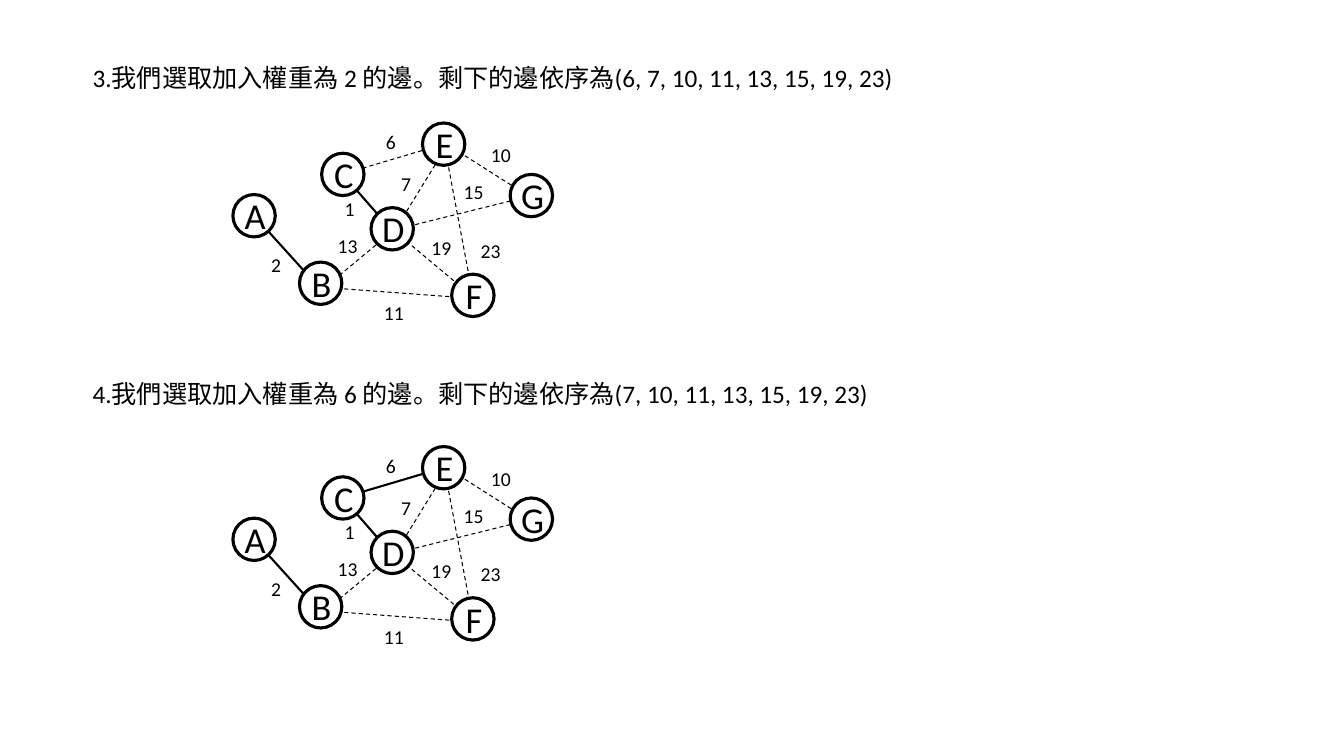
from lxml.etree import SubElement
from pptx import Presentation
from pptx.dml.color import RGBColor
from pptx.enum.dml import MSO_LINE
from pptx.enum.shapes import MSO_CONNECTOR as CONNECTOR, MSO_SHAPE as SHAPE
from pptx.enum.text import MSO_AUTO_SIZE as AUTO_SIZE, PP_ALIGN as ALIGN
from pptx.oxml.ns import qn
from pptx.util import Pt

EMU_PER_PX = 9144  # 100 px to the inch
NODE_SIZE = 42
STEP_PITCH = 321

# Node: left, top of its circle
NODES = {
    "A": (231, 193), "F": (448, 272), "B": (297, 260), "D": (368, 206),
    "G": (506, 173), "C": (319, 152), "E": (419, 122),
}

# Weight: line from x, y to x, y; label left, top, width
EDGES = {
    2: ((253, 215, 319, 288), (259, 246, 43)),
    1: ((340, 173, 388, 228), (332, 190, 30)),
    23: ((441, 145, 469, 294), (467, 232, 96)),
    15: ((391, 228, 528, 194), (450, 174, 96)),
    11: ((320, 285, 469, 296), (371, 294, 96)),
    13: ((320, 287, 391, 228), (325, 227, 96)),
    6: ((339, 173, 440, 143), (373, 124, 96)),
    10: ((443, 143, 528, 197), (477, 137, 96)),
    7: ((392, 228, 443, 145), (388, 166, 96)),
    19: ((392, 230, 471, 296), (418, 229, 41)),
}

# Caption top, caption, weights of the chosen edges
STEPS = [
    (57, "3.我們選取加入權重為 2 的邊。剩下的邊依序為(6, 7, 10, 11, 13, 15, 19, 23)", {1, 2}),
    (370, "4.我們選取加入權重為 6 的邊。剩下的邊依序為(7, 10, 11, 13, 15, 19, 23)", {1, 2, 6}),
]


def px(length):
    return length * EMU_PER_PX


def color(hex_string):
    return RGBColor.from_string(hex_string)


class GraphSlide:
    font_name = "Calibri"
    ink = "000000"
    paper = "FFFFFF"

    def __init__(self, presentation):
        self.slide = presentation.slides.add_slide(presentation.slide_layouts[6])

    def text(self, left, top, width, height, text, size, align=None, wrap=True):
        box = self.slide.shapes.add_textbox(px(left), px(top), px(width), px(height))
        text_frame = box.text_frame
        text_frame.text = text
        text_frame.word_wrap = wrap
        text_frame.auto_size = AUTO_SIZE.SHAPE_TO_FIT_TEXT
        paragraph = text_frame.paragraphs[0]
        paragraph.alignment = align
        for run in paragraph.runs:
            run.font.name = self.font_name
            run.font.size = Pt(size)
            run.font.color.rgb = color(self.ink)

    def edge(self, ends, chosen):
        connector = self.slide.shapes.add_connector(CONNECTOR.STRAIGHT, *map(px, ends))
        connector.line.color.rgb = color(self.ink)
        connector.line.width = Pt(1.5 if chosen else 0.75)
        if not chosen:
            connector.line.dash_style = MSO_LINE.DASH
        SubElement(connector._element.spPr, qn("a:effectLst"))

    def circle(self, left, top):
        shape = self.slide.shapes.add_shape(
            SHAPE.OVAL, px(left), px(top), px(NODE_SIZE), px(NODE_SIZE))
        shape.shadow.inherit = False
        shape.fill.solid()
        shape.fill.fore_color.rgb = color(self.paper)
        shape.line.color.rgb = color(self.ink)
        shape.line.width = Pt(2.25)

    def graph(self, offset, chosen_weights):
        # Edges lie behind the circles
        for weight, ((x1, y1, x2, y2), _) in EDGES.items():
            self.edge((x1, y1 + offset, x2, y2 + offset), weight in chosen_weights)
        for left, top in NODES.values():
            self.circle(left, top + offset)
        # Node letters and edge weights
        for letter, (left, top) in NODES.items():
            self.text(left + 1, top - 6 + offset, NODE_SIZE, 54, letter, 26,
                      ALIGN.CENTER, wrap=False)
        for weight, (_, (left, top, width)) in EDGES.items():
            self.text(left, top + offset, width, 34, str(weight), 14)


def main():
    presentation = Presentation()
    presentation.slide_width = px(1333)
    presentation.slide_height = px(750)
    graph_slide = GraphSlide(presentation)

    # One caption and one graph for each step
    for index, (caption_top, caption, chosen_weights) in enumerate(STEPS):
        graph_slide.text(82, caption_top, 903, 40, caption, 18)
        graph_slide.graph(index * STEP_PITCH, chosen_weights)

    presentation.save("out.pptx")


if __name__ == "__main__":
    main()
